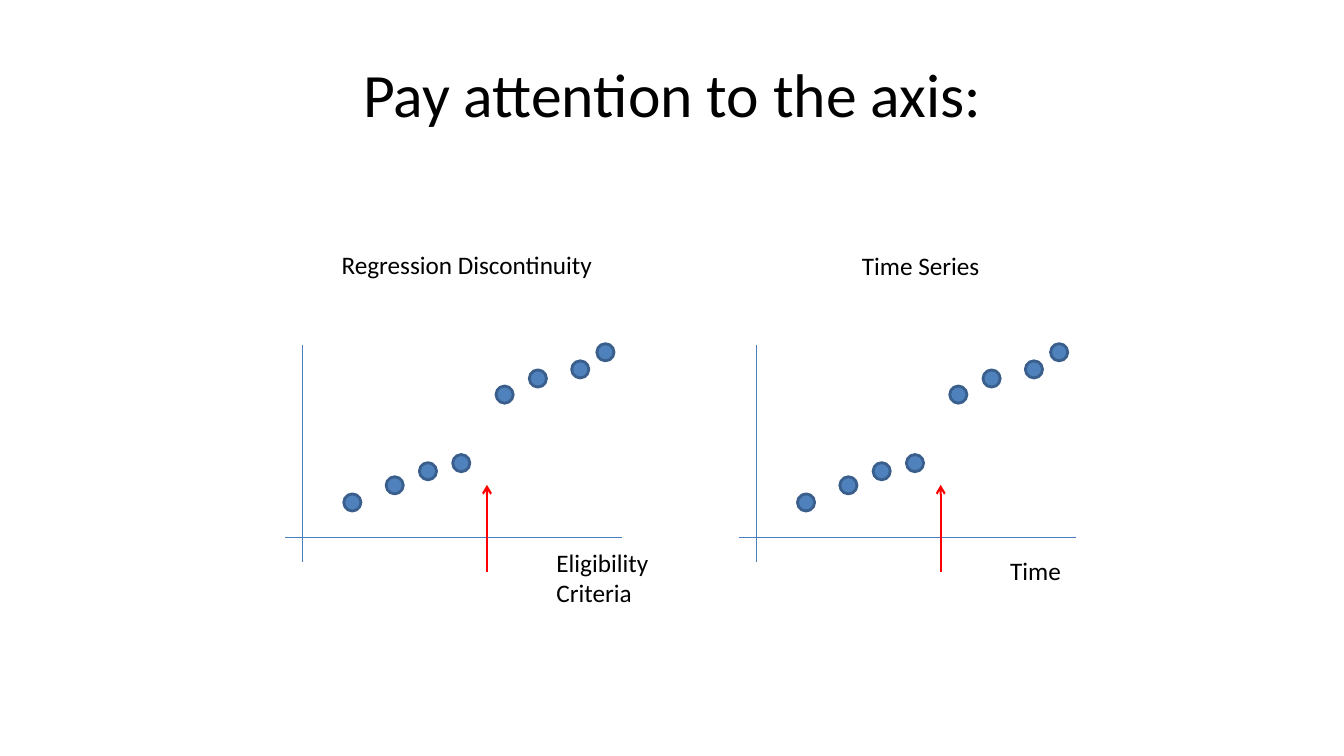
import pptx
import pptx.util
import pptx.dml.color
import pptx.enum.shapes
import pptx.enum.text
import pptx.oxml
import pptx.oxml.ns
from dataclasses import dataclass


@dataclass(frozen=True)
class Theme:
    font: str = "Calibri"
    title_size: int = 44
    label_size: int = 18
    text: str = "000000"
    axis: str = "4B7EBC"
    dot_fill: str = "4F81BD"
    dot_line: str = "3A5F8C"
    cutoff: str = "FF0000"
    axis_width: float = 0.75
    dot_width: float = 2
    cutoff_width: float = 1.5


THEME = Theme()
PX = 9144
SLIDE_SIZE = (1333, 750)

TITLE = "Pay attention to the axis:"
TITLE_BOX = (67, 30, 1200, 125)

PANELS = [
    {
        "left": 283,
        "heading": ("Regression Discontinuity", (329, 242, 271, 40)),
        "axis_label": ("Eligibility\nCriteria", (542, 538, 112, 71)),
    },
    {
        "left": 733,
        "heading": ("Time Series", (845, 243, 138, 40)),
        "axis_label": ("Time", (992, 546, 71, 40)),
    },
]

DOT_SIZE = 17
DOTS = [(58, 490), (100, 473), (133, 459), (166, 451),
        (209, 383), (242, 367), (284, 358), (309, 341)]
VERTICAL_AXIS = (17, 342, 17, 558)
HORIZONTAL_AXIS = (0, 533, 334, 533)
CUTOFF_ARROW = (200, 567, 200, 481)


def emu(lengths):
    return [pptx.util.Emu(length * PX) for length in lengths]


def rgb(value):
    return pptx.dml.color.RGBColor.from_string(value)


def write(frame, text, size, alignment):
    paragraph = frame.paragraphs[0]
    paragraph.text = text
    paragraph.alignment = alignment
    paragraph.font.name = THEME.font
    paragraph.font.size = pptx.util.Pt(size)
    paragraph.font.color.rgb = rgb(THEME.text)


def add_label(slide, text, box):
    frame = slide.shapes.add_textbox(*emu(box)).text_frame
    frame.word_wrap = False
    frame.auto_size = pptx.enum.text.MSO_AUTO_SIZE.SHAPE_TO_FIT_TEXT
    write(frame, text, THEME.label_size, pptx.enum.text.PP_ALIGN.LEFT)


def add_line(slide, left, ends, color, width, arrow=False):
    x1, y1, x2, y2 = ends
    line = slide.shapes.add_connector(
        pptx.enum.shapes.MSO_CONNECTOR.STRAIGHT,
        *emu((left + x1, y1, left + x2, y2)))
    line.line.color.rgb = rgb(color)
    line.line.width = pptx.util.Pt(width)
    properties = line._element.spPr
    if arrow:
        head = pptx.oxml.parse_xml(
            f'<a:tailEnd {pptx.oxml.ns.nsdecls("a")} type="arrow"/>')
        line.line._get_or_add_ln().append(head)
    properties.append(pptx.oxml.parse_xml(
        f'<a:effectLst {pptx.oxml.ns.nsdecls("a")}/>'))


def add_dot(slide, left, top):
    dot = slide.shapes.add_shape(
        pptx.enum.shapes.MSO_SHAPE.OVAL,
        *emu((left, top, DOT_SIZE, DOT_SIZE)))
    dot.shadow.inherit = False
    dot.fill.solid()
    dot.fill.fore_color.rgb = rgb(THEME.dot_fill)
    dot.line.color.rgb = rgb(THEME.dot_line)
    dot.line.width = pptx.util.Pt(THEME.dot_width)


def add_panel(slide, panel):
    left = panel["left"]
    for axis in (VERTICAL_AXIS, HORIZONTAL_AXIS):
        add_line(slide, left, axis, THEME.axis, THEME.axis_width)
    for x, y in DOTS:
        add_dot(slide, left + x, y)
    add_line(slide, left, CUTOFF_ARROW, THEME.cutoff, THEME.cutoff_width, arrow=True)
    add_label(slide, *panel["axis_label"])
    add_label(slide, *panel["heading"])


def main():
    deck = pptx.Presentation()
    deck.slide_width, deck.slide_height = emu(SLIDE_SIZE)
    slide = deck.slides.add_slide(deck.slide_layouts[5])
    title = slide.shapes.title
    title.left, title.top, title.width, title.height = emu(TITLE_BOX)
    title.text_frame.vertical_anchor = pptx.enum.text.MSO_ANCHOR.MIDDLE
    write(title.text_frame, TITLE, THEME.title_size, pptx.enum.text.PP_ALIGN.CENTER)
    for panel in PANELS:
        add_panel(slide, panel)
    deck.save("out.pptx")


if __name__ == "__main__":
    main()
